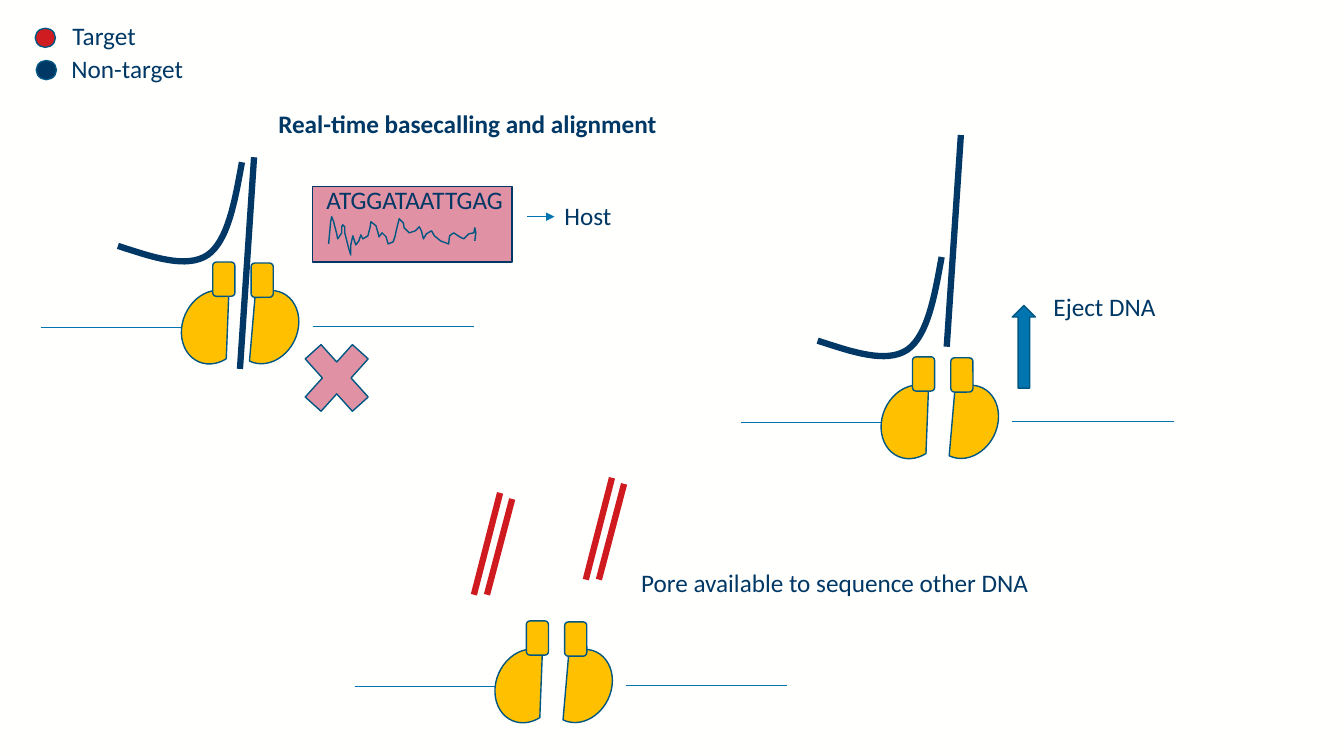
from dataclasses import dataclass

import pptx
import pptx.dml.color
import pptx.enum.shapes
import pptx.enum.text
import pptx.oxml
import pptx.oxml.ns
import pptx.util
from pptx.util import Inches

SHAPE = pptx.enum.shapes.MSO_SHAPE
NAVY, STRAND, BLUE, EDGE = "003865", "013865", "0075B0", "005782"
RED, DARK_RED, GOLD, PINK = "CF1C20", "CF1B20", "FFC000", "E191A4"
Point = tuple[float, float]


@dataclass
class Figure:
    kind: int
    left: float
    top: float
    width: float
    height: float
    fill: str = GOLD
    line: str = EDGE
    rotation: float = 0


@dataclass
class Stroke:
    start: Point
    end: Point
    colour: str = BLUE
    weight: float = 0.5
    arrow: bool = False


@dataclass
class Label:
    text: str
    left: float
    top: float
    width: float


MEMBRANE = [Stroke((0.41, 3.25), (2.01, 3.25)), Stroke((3.1, 3.24), (4.7, 3.24))]
PORE = [
    Figure(SHAPE.CHORD, 1.81, 2.87, 0.62, 0.75, rotation=23.5),
    Figure(SHAPE.CHORD, 2.33, 2.87, 0.62, 0.75, rotation=206.2),
    Figure(SHAPE.ROUNDED_RECTANGLE, 2.11, 2.6, 0.22, 0.34),
    Figure(SHAPE.ROUNDED_RECTANGLE, 2.49, 2.61, 0.22, 0.34),
]
PORE_OFFSETS = [(0, 0), (6.94, 0.94), (3.11, 3.56)]
LONG_STRANDS = [
    Stroke((2.52, 1.56), (2.38, 3.66), STRAND, 4.5),
    Stroke((9.53, 1.34), (9.39, 3.44), STRAND, 4.5),
]
BENT_STRAND = [
    [(2.4, 1.61), (2.33, 2.0), (2.26, 2.39), (2.06, 2.53)],
    [(2.06, 2.53), (1.85, 2.67), (1.51, 2.55), (1.17, 2.44)],
]
SIGNAL = [
    (3.26, 2.42), (3.28, 2.2), (3.29, 2.15), (3.31, 2.2), (3.34, 2.32), (3.35, 2.37),
    (3.39, 2.31), (3.39, 2.25), (3.4, 2.23), (3.42, 2.25), (3.42, 2.31), (3.45, 2.43),
    (3.48, 2.53), (3.48, 2.43), (3.5, 2.34), (3.53, 2.43), (3.56, 2.39), (3.58, 2.33),
    (3.6, 2.37), (3.65, 2.34), (3.67, 2.26), (3.68, 2.2), (3.73, 2.24), (3.75, 2.31),
    (3.76, 2.35), (3.79, 2.31), (3.83, 2.35), (3.85, 2.42), (3.9, 2.4), (3.92, 2.34),
    (3.93, 2.29), (3.96, 2.17), (4.0, 2.21), (4.01, 2.26), (4.06, 2.31), (4.12, 2.29),
    (4.16, 2.25), (4.18, 2.29), (4.2, 2.37), (4.23, 2.32), (4.28, 2.29), (4.31, 2.34),
    (4.37, 2.39), (4.45, 2.42), (4.46, 2.34), (4.5, 2.31), (4.56, 2.35), (4.6, 2.37),
    (4.65, 2.32), (4.7, 2.31), (4.71, 2.26), (4.72, 2.31), (4.71, 2.39),
]
FIGURES = [
    Figure(SHAPE.OVAL, 0.35, 0.28, 0.2, 0.19, RED),
    Figure(SHAPE.OVAL, 0.36, 0.6, 0.2, 0.19, NAVY),
    Figure(SHAPE.MATH_MULTIPLY, 2.89, 3.25, 0.9, 1, PINK),
    Figure(SHAPE.RECTANGLE, 3.1, 1.85, 1.98, 0.75, PINK, NAVY),
    Figure(SHAPE.UP_ARROW, 10.04, 3.03, 0.23, 0.82, BLUE),
]
LABELS = [
    Label("Target", 0.62, 0.15, 0.84),
    Label("Non-target", 0.61, 0.48, 1.32),
    Label("ATGGATAATTGAG", 3.14, 1.78, 1.97),
    Label("Host", 5.5, 1.94, 0.67),
    Label("Eject DNA", 10.35, 2.84, 1.22),
    Label("Pore available to sequence other DNA", 6.26, 5.58, 4.09),
]
HOST_ARROW = Stroke((5.23, 2.15), (5.5, 2.15), arrow=True)
TARGET_PAIR = [
    Stroke((4.96, 4.89), (4.7, 5.9), DARK_RED, 4.5),
    Stroke((5.08, 4.95), (4.83, 5.9), DARK_RED, 4.5),
]
TARGET_OFFSETS = [(0, 0), (1.11, -0.15)]


def rgb(value: str) -> pptx.dml.color.RGBColor:
    return pptx.dml.color.RGBColor.from_string(value)


def move(point: Point, offset: Point) -> Point:
    return point[0] + offset[0], point[1] + offset[1]


def set_line(shape, colour: str, weight: float) -> None:
    shape.line.color.rgb = rgb(colour)
    shape.line.width = pptx.util.Pt(weight)


def draw_figure(page, figure: Figure, offset: Point = (0, 0)) -> None:
    left, top = move((figure.left, figure.top), offset)
    shape = page.shapes.add_shape(
        figure.kind, Inches(left), Inches(top), Inches(figure.width), Inches(figure.height)
    )
    shape.rotation = figure.rotation
    shape.shadow.inherit = False
    shape.fill.solid()
    shape.fill.fore_color.rgb = rgb(figure.fill)
    set_line(shape, figure.line, 1)


def draw_stroke(page, stroke: Stroke, offset: Point = (0, 0)) -> None:
    ends = [Inches(value) for point in (stroke.start, stroke.end) for value in move(point, offset)]
    connector = page.shapes.add_connector(pptx.enum.shapes.MSO_CONNECTOR.STRAIGHT, *ends)
    set_line(connector, stroke.colour, stroke.weight)
    properties = connector._element.spPr
    if stroke.arrow:
        tail = pptx.oxml.ns.qn("a:tailEnd")
        properties.ln.append(properties.makeelement(tail, {"type": "triangle"}))
    properties.append(properties.makeelement(pptx.oxml.ns.qn("a:effectLst"), {}))


def draw_curve(page, points: list[Point], colour: str, weight: float, offset: Point = (0, 0)) -> None:
    vertices = [tuple(Inches(value) for value in move(point, offset)) for point in points]
    builder = page.shapes.build_freeform(*vertices[0])
    builder.add_line_segments(vertices[1:], close=False)
    shape = builder.convert_to_shape()
    shape.shadow.inherit = False
    shape.fill.background()
    set_line(shape, colour, weight)


def bezier(controls: list[Point], steps: int = 16) -> list[Point]:
    points = []
    for step in range(steps + 1):
        t = step / steps
        weights = ((1 - t) ** 3, 3 * t * (1 - t) ** 2, 3 * t**2 * (1 - t), t**3)
        points.append(tuple(sum(w * c[axis] for w, c in zip(weights, controls)) for axis in (0, 1)))
    return points


def write_text(box, label: Label, bold: bool = False) -> None:
    box.left, box.top = Inches(label.left), Inches(label.top)
    box.width, box.height = Inches(label.width), Inches(0.4)
    frame = box.text_frame
    frame.text = label.text
    frame.word_wrap = False
    frame.auto_size = pptx.enum.text.MSO_AUTO_SIZE.NONE
    frame.vertical_anchor = pptx.enum.text.MSO_ANCHOR.TOP
    paragraph = frame.paragraphs[0]
    paragraph.alignment = pptx.enum.text.PP_ALIGN.LEFT
    paragraph.font.name = "Calibri"
    paragraph.font.size = pptx.util.Pt(18)
    paragraph.font.bold = bold
    paragraph.font.color.rgb = rgb(NAVY)


def main() -> None:
    deck = pptx.Presentation()
    deck.slide_width, deck.slide_height = Inches(13.33), Inches(7.5)
    page = deck.slides.add_slide(deck.slide_layouts[5])
    page.background.fill.solid()
    page.background.fill.fore_color.rgb = rgb("FFFFFE")
    title = Label("Real-time basecalling and alignment", 2.66, 1.02, 3.98)
    write_text(page.shapes.title, title, bold=True)

    for offset in PORE_OFFSETS:
        for stroke in MEMBRANE:
            draw_stroke(page, stroke, offset)
        for figure in PORE:
            draw_figure(page, figure, offset)
    bend = [point for controls in BENT_STRAND for point in bezier(controls)]
    for strand, offset in zip(LONG_STRANDS, PORE_OFFSETS):
        draw_curve(page, bend, STRAND, 4.5, offset)
        draw_stroke(page, strand)
    for offset in TARGET_OFFSETS:
        for stroke in TARGET_PAIR:
            draw_stroke(page, stroke, offset)
    for figure in FIGURES:
        draw_figure(page, figure)
    draw_curve(page, SIGNAL, EDGE, 1)
    draw_stroke(page, HOST_ARROW)
    for label in LABELS:
        box = page.shapes.add_textbox(0, 0, 0, 0)
        write_text(box, label)
    deck.save("out.pptx")


if __name__ == "__main__":
    main()
